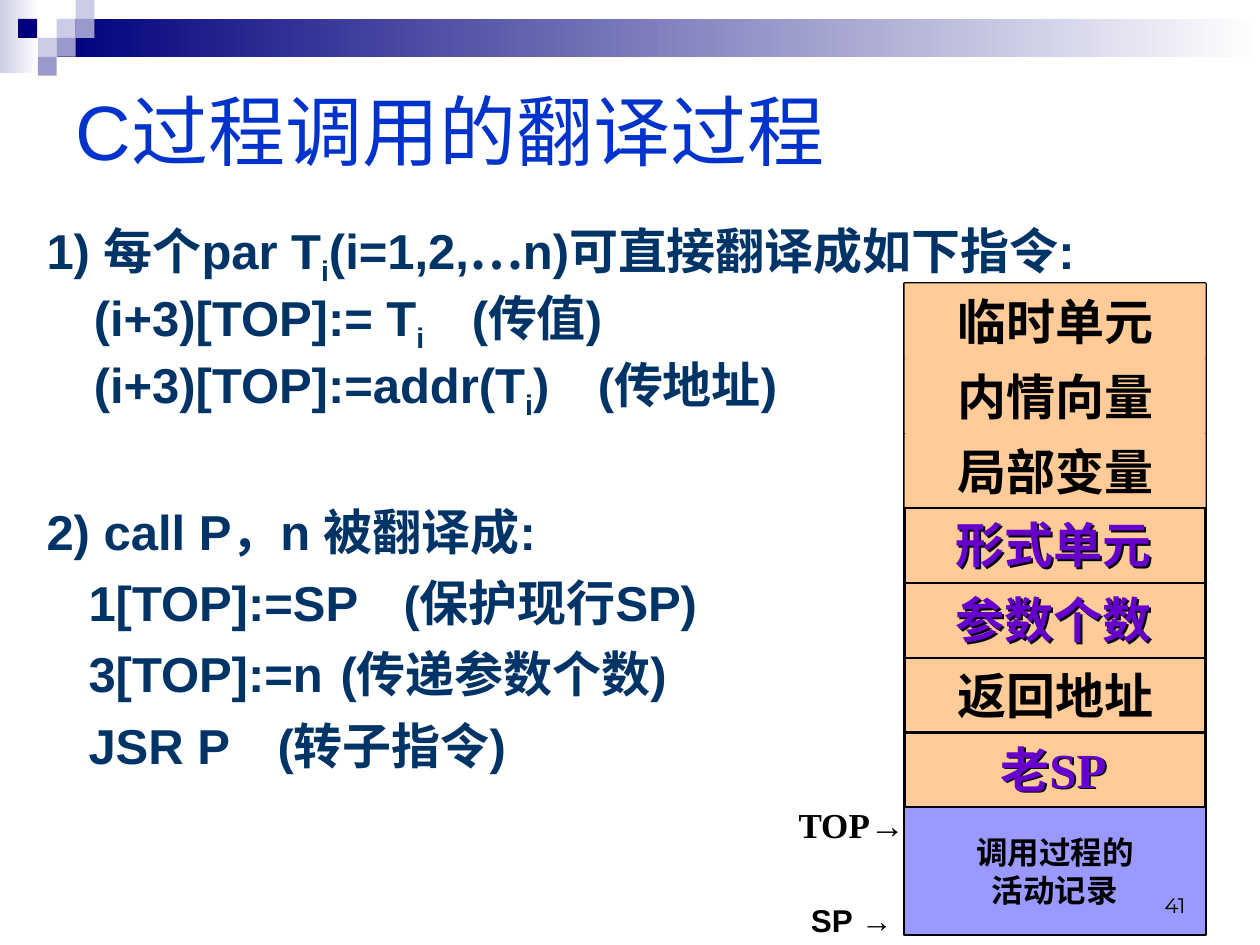
from pptx import Presentation
from pptx.dml.color import RGBColor
from pptx.enum.shapes import MSO_SHAPE
from pptx.enum.text import MSO_ANCHOR, MSO_AUTO_SIZE, PP_ALIGN
from pptx.oxml.ns import qn
from pptx.util import Pt
from lxml import etree

RECT = MSO_SHAPE.RECTANGLE
MID, LOW = MSO_ANCHOR.MIDDLE, MSO_ANCHOR.BOTTOM
LEFT, MIDDLE, RIGHT = PP_ALIGN.LEFT, PP_ALIGN.CENTER, PP_ALIGN.RIGHT

BLACK = RGBColor(0x00, 0x00, 0x00)
WHITE = RGBColor(0xFF, 0xFF, 0xFF)
NAVY = RGBColor(0x00, 0x00, 0x7D)
PALE = RGBColor(0xCC, 0xCC, 0xE6)
LILAC = RGBColor(0x99, 0x99, 0xCC)
BLUE = RGBColor(0x00, 0x33, 0xCC)
INK = RGBColor(0x00, 0x33, 0x66)
PEACH = RGBColor(0xFF, 0xCC, 0x99)
MAUVE = RGBColor(0x99, 0x99, 0xFF)
PURPLE = RGBColor(0x66, 0x00, 0xCC)

SANS, SERIF = "Arial", "Times New Roman"
HAN, PAGE = "Noto Sans CJK SC", "Montserrat"

# Stack frame: left, top, width and row height
LEFT_X, TOP_Y, WIDE, ROW = 517, 162, 172, 42.8
# Name, outlined, purple overprint
CELLS = [
    ("临时单元", False, False),
    ("内情向量", False, False),
    ("局部变量", False, False),
    ("形式单元", True, True),
    ("参数个数", True, True),
    ("返回地址", True, False),
    ("老SP", True, True),
]

# Body lines: indent, hanging, space before, tab stop, runs (text, style)
LINES = [
    (27, -27, 0, None, [("1) 每个par T", ""), ("i", "sub"), ("(i=1,2,", ""),
                        ("…", "han"), ("n)可直接翻译成如下指令:", "")]),
    (27, 0, 0, 298, [("(i+3)[TOP]:= T", ""), ("i", "sub"), ("\t(传值)", "")]),
    (27, 0, 0, 310, [("(i+3)[TOP]:=addr(T", ""), ("i", "sub"),
                     (")\t(传地址)", "")]),
    (27, -27, 46, None, [("2) call P，n 被翻译成:", "")]),
    (24, 0, 7, 201, [("1[TOP]:=SP\t(保护现行SP)", "")]),
    (24, 0, 7, 204, [("3[TOP]:=n\t(传递参数个数)", "")]),
    (24, 0, 7, 205, [("JSR P\t(转子指令)", "")]),
]

# Header squares: left, top, colour
TILES = [
    (32.4, 10.8, PALE), (43.2, 0, PALE), (43.2, 10.8, LILAC),
    (21.6, 21.6, PALE), (10.4, 10.8, NAVY), (32.4, 21.6, LILAC),
    (21.6, 32.4, LILAC),
]


def put(shape, x, y, w, h):
    shape.left, shape.top = Pt(x), Pt(y)
    shape.width, shape.height = Pt(w), Pt(h)


def add_run(para, text, size, color, font=SANS, bold=True):
    run = para.add_run()
    run.text = text
    run.font.name, run.font.size = font, Pt(size)
    run.font.bold, run.font.color.rgb = bold, color
    return run


def frame(shape, anchor=MID, wrap=False):
    text = shape.text_frame
    text.word_wrap, text.vertical_anchor = wrap, anchor
    text.auto_size = MSO_AUTO_SIZE.NONE
    return text


def add_rect(slide, x, y, w, h, fill=None, line=None):
    shape = slide.shapes.add_shape(RECT, Pt(x), Pt(y), Pt(w), Pt(h))
    shape.shadow.inherit = False
    if fill is None:
        shape.fill.background()
    else:
        shape.fill.solid()
        shape.fill.fore_color.rgb = fill
    if line:
        shape.line.color.rgb, shape.line.width = BLACK, Pt(line)
    else:
        shape.line.fill.background()
    return shape


def add_fade(slide, x, y, w, h, color):
    shape = add_rect(slide, x, y, w, h, color)
    shape.fill.gradient()
    shape.fill.gradient_angle = 0
    for stop, tone, at in zip(shape.fill.gradient_stops, (color, WHITE), (0, 1)):
        stop.color.rgb, stop.position = tone, at


def add_text(shape, lines, align=MIDDLE, anchor=MID, gap=0, wrap=False):
    """Fill a shape; each line is a list of run arguments."""
    text = frame(shape, anchor, wrap)
    for i, runs in enumerate(lines):
        para = text.add_paragraph() if i else text.paragraphs[0]
        para.alignment = align
        if i:
            para.space_before = Pt(gap)
        for run in runs:
            add_run(para, *run)


def add_box(slide, x, y, w, h, lines, **style):
    box = slide.shapes.add_textbox(Pt(x), Pt(y), Pt(w), Pt(h))
    add_text(box, lines, **style)


def set_tabs(para, left, hang, stop):
    """Indent a paragraph, drop its bullet and set one tab stop."""
    props = para._p.get_or_add_pPr()
    props.set("marL", str(Pt(left)))
    props.set("indent", str(Pt(hang)))
    etree.SubElement(props, qn("a:buNone"))
    if stop:
        tabs = etree.SubElement(props, qn("a:tabLst"))
        etree.SubElement(tabs, qn("a:tab"), pos=str(Pt(stop)), algn="l")


def add_header(slide):
    add_fade(slide, 0, 0, 22, 42, PALE)
    add_fade(slide, 32.4, 10.8, 687.6, 21.6, NAVY)
    for x, y, color in TILES:
        add_rect(slide, x, y, 10.8, 10.8, color)


def fill_body(body):
    put(body, 19.4, 122.4, 612, 366)
    text = frame(body, MSO_ANCHOR.TOP, True)
    for i, (left, hang, gap, stop, runs) in enumerate(LINES):
        para = text.add_paragraph() if i else text.paragraphs[0]
        set_tabs(para, left, hang, stop)
        para.alignment, para.line_spacing = LEFT, 1.0
        para.space_before = Pt(gap)
        for words, style in runs:
            font = HAN if style == "han" else SANS
            run = add_run(para, words, 28, INK, font)
            if style == "sub":
                run.font._element.set("baseline", "-25000")


def add_stack(slide):
    add_rect(slide, LEFT_X, TOP_Y, WIDE, 7 * ROW, PEACH, 1.5)
    for i, (name, edge, _) in enumerate(CELLS):
        cell = add_rect(slide, LEFT_X, TOP_Y + i * ROW, WIDE, ROW, PEACH,
                        1.5 if edge else None)
        add_text(cell, [[(name, 28, BLACK, SERIF)]])


def add_caller(slide):
    add_box(slide, 459.4, 461, 54.7, 73.4,
            [[("TOP", 20, BLACK, SERIF), ("→", 20, BLACK)],
             [("SP →", 18, BLACK)]], gap=32)
    caller = add_rect(slide, 516.5, 461, 172.5, 73.4, MAUVE, 1)
    add_text(caller, [[("调用过程的", 18, BLACK)], [("活动记录", 18, BLACK)]])


def add_marks(slide):
    for i, (name, _, mark) in enumerate(CELLS):
        if mark:
            add_box(slide, LEFT_X - 1, TOP_Y + i * ROW - 1, WIDE, ROW,
                    [[(name, 28, PURPLE, SERIF)]])


def main():
    deck = Presentation()
    deck.slide_width, deck.slide_height = Pt(720), Pt(540)
    slide = deck.slides.add_slide(deck.slide_layouts[1])
    title, body = slide.placeholders

    # Header band
    add_header(slide)

    # Title and list
    put(title, 36, 20, 648, 108)
    add_text(title, [[("C过程调用的翻译过程", 44, BLUE, SANS, False)]],
             align=LEFT, wrap=True)
    fill_body(body)

    # Activation record with pointers
    add_stack(slide)
    add_caller(slide)
    add_marks(slide)

    # Page number
    add_box(slide, 516.5, 492, 168, 36, [[("41", 12, BLACK, PAGE, False)]],
            align=RIGHT, anchor=LOW, wrap=True)
    deck.save("out.pptx")


if __name__ == "__main__":
    main()
